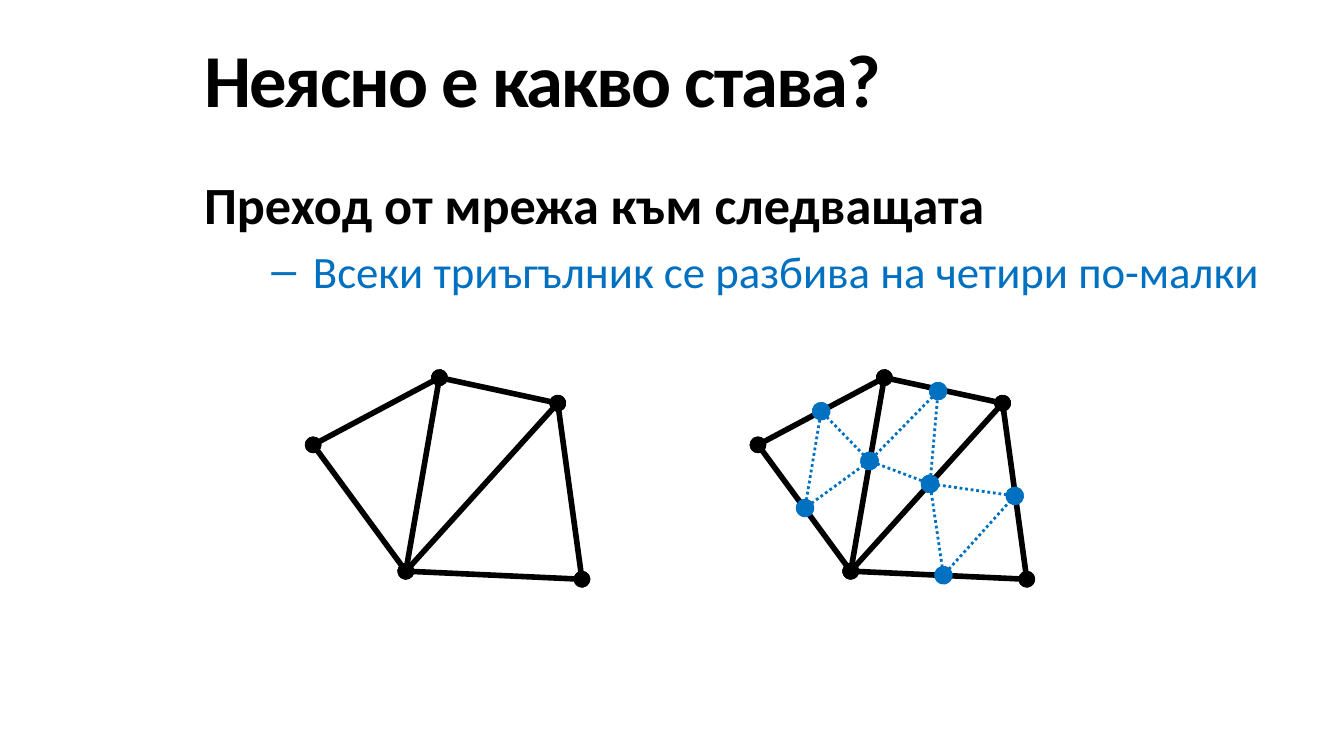
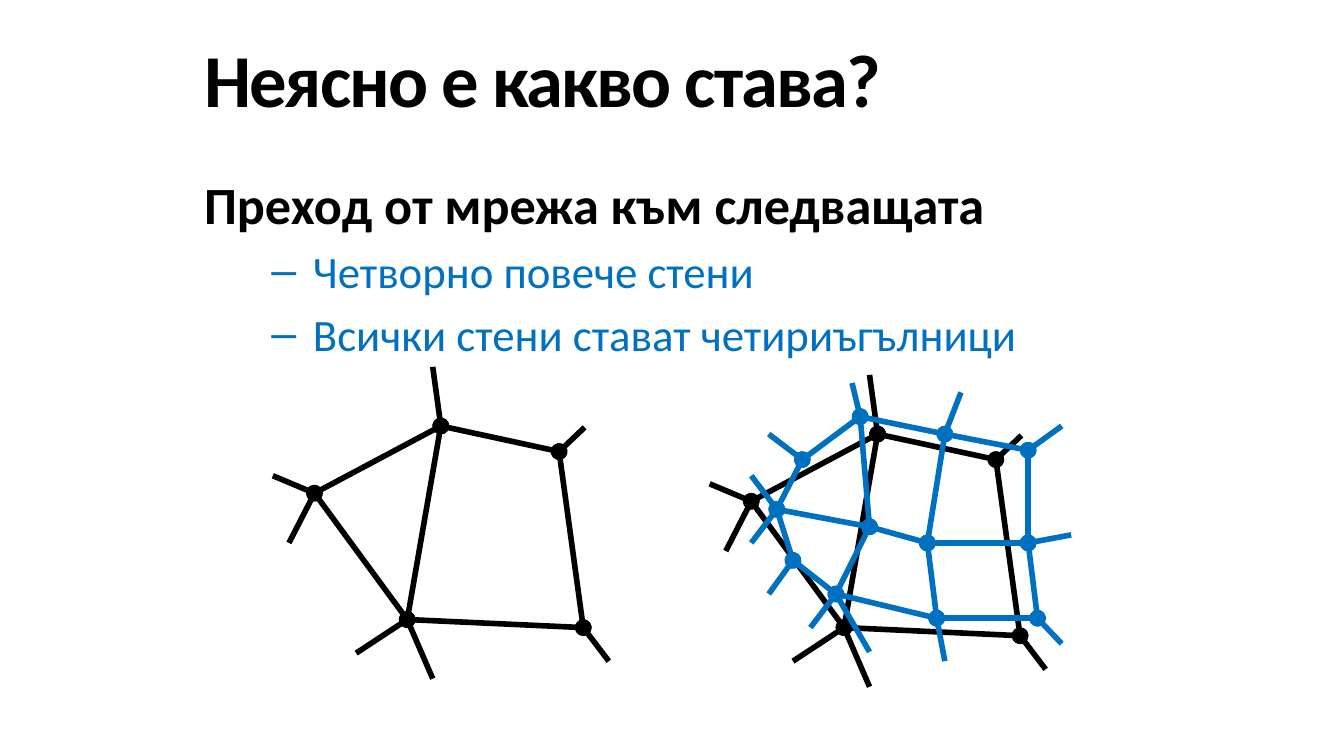
"""Two slides on how a mesh is refined into the next one."""
from lxml import etree
from pptx import Presentation
from pptx.dml.color import RGBColor
from pptx.enum.dml import MSO_LINE_DASH_STYLE as Dash
from pptx.enum.shapes import MSO_CONNECTOR as Connector
from pptx.enum.text import MSO_ANCHOR as Anchor
from pptx.oxml.ns import qn
from pptx.util import Inches, Pt

BLACK = RGBColor(0x00, 0x00, 0x00)
BLUE = RGBColor(0x00, 0x70, 0xC0)
FONT = "Calibri"
TITLE = "Неясно е какво става?"
HEADING = "Преход от мрежа към следващата"

CORNERS = {
    "left": (2.33, 3.31), "top": (3.27, 2.81), "right": (4.15, 3),
    "low": (3.02, 4.25), "far": (4.33, 4.31),
}
OUTLINE = ["right top", "top low", "far low", "right far", "top left", "left low"]
DIAGONAL = ["right low"]
CORNER_RAYS = [
    ("top", -0.06, -0.44), ("right", 0.19, -0.18), ("far", 0.19, 0.25),
    ("left", -0.31, -0.13), ("left", -0.19, 0.37),
    ("low", -0.38, 0.25), ("low", 0.19, 0.44),
]

MIDPOINTS = {
    "left_top": (6.11, 3.06), "left_low": (5.99, 3.78), "top_low": (6.47, 3.43),
    "top_right": (6.98, 2.91), "right_low": (6.92, 3.6),
    "right_far": (7.55, 3.69), "far_low": (7.02, 4.28),
}
SPLITS = [
    "top_low right_low", "right_low top_right", "right_far right_low",
    "top_right top_low", "far_low right_far", "far_low right_low",
    "left_top top_low", "left_low top_low", "left_low left_top",
]

QUADS = {
    "a1": (6.4, 3.1), "a2": (7.03, 3.23), "a3": (7.65, 3.35),
    "b1": (6.47, 3.92), "b2": (6.9, 4.04), "b3": (7.65, 4.04),
    "c1": (6.22, 4.42), "c2": (6.97, 4.6), "c3": (7.72, 4.6),
    "upper": (5.97, 3.42), "middle": (5.78, 3.79), "lower": (5.9, 4.17),
}
QUAD_EDGES = [
    "b1 b2", "a3 b3", "b2 a2", "a2 a1", "a1 b1", "a3 a2", "b3 b2", "c2 b2",
    "c3 b3", "c1 b1", "upper a1", "middle b1", "lower c1", "c3 c2", "c2 c1",
    "upper middle", "middle lower",
]
QUAD_RAYS = [
    ("a3", 0.25, -0.18), ("b3", 0.32, -0.06), ("c3", 0.18, 0.19),
    ("c2", 0.06, 0.32), ("c1", 0.25, 0.43), ("c1", -0.19, 0.25),
    ("lower", -0.18, 0.25), ("middle", -0.19, 0.25), ("middle", -0.19, -0.25),
    ("upper", -0.25, -0.19), ("a1", -0.06, -0.25), ("a2", 0.12, -0.31),
]


def add_run(paragraph, text, size, color, bold):
    run = paragraph.add_run()
    run.text = text
    run.font.name = FONT
    run.font.size = Pt(size)
    run.font.bold = bold
    run.font.color.rgb = color
    return run


def draw_mesh(slide, points, edges, rays=(), shift=(0, 0), color=BLACK,
              width=3, dash=None, node="med"):
    dx, dy = shift
    segments = [(*points[a], *points[b], True) for a, b in map(str.split, edges)]
    for name, across, down in rays:
        x, y = points[name]
        segments.append((x + across, y + down, x, y, False))
    for x1, y1, x2, y2, joins_nodes in segments:
        edge = slide.shapes.add_connector(
            Connector.STRAIGHT,
            Inches(x1 + dx), Inches(y1 + dy), Inches(x2 + dx), Inches(y2 + dy))
        edge.line.color.rgb = color
        edge.line.width = Pt(width)
        if dash:
            edge.line.dash_style = dash
        properties = edge.line._get_or_add_ln()
        if joins_nodes:
            for end in ("a:headEnd", "a:tailEnd"):
                etree.SubElement(properties, qn(end), type="oval", w=node, len=node)
        etree.SubElement(properties.getparent(), qn("a:effectLst"))


deck = Presentation()
deck.slide_width = Inches(10)
deck.slide_height = deck.slide_width * 9 // 16

slides = []
for points in (
    ["Всеки триъгълник се разбива на четири по-малки"],
    ["Четворно повече стени", "Всички стени стават четириъгълници"],
):
    slide = deck.slides.add_slide(deck.slide_layouts[6])
    slides.append(slide)

    title = slide.shapes.add_textbox(
        Inches(1.42), Inches(0.15), Inches(8.58), Inches(0.85)).text_frame
    title.word_wrap = True
    title.vertical_anchor = Anchor.MIDDLE
    heading = add_run(title.paragraphs[0], TITLE, 40, BLACK, True)
    heading.font._element.set("spc", "-100")

    body = slide.shapes.add_textbox(
        Inches(1.42), Inches(1.23), Inches(8.58), Inches(4.08)).text_frame
    body.word_wrap = True
    body.paragraphs[0].space_before = Pt(5.6)
    add_run(body.paragraphs[0], HEADING, 28, BLACK, True)
    for point in points:
        item = body.add_paragraph()
        item.level = 1
        item.space_before = Pt(4.8)
        add_run(item, point, 24, BLUE, False)
        layout = item._p.get_or_add_pPr()
        layout.set("marL", str(Inches(0.81)))
        layout.set("indent", str(Inches(-0.31)))
        etree.SubElement(layout, qn("a:buFont"), typeface="Arial")
        etree.SubElement(layout, qn("a:buChar"), char="–")

triangles, quads = slides
for shift in ((0, 0), (3.31, 0)):
    draw_mesh(triangles, CORNERS, OUTLINE + DIAGONAL, shift=shift)
draw_mesh(triangles, MIDPOINTS, SPLITS, color=BLUE, width=1.5,
          dash=Dash.ROUND_DOT, node="lg")

for shift in ((0.01, 0.36), (3.26, 0.42)):
    draw_mesh(quads, CORNERS, OUTLINE, CORNER_RAYS, shift)
draw_mesh(quads, QUADS, QUAD_EDGES, QUAD_RAYS, color=BLUE)

deck.save("out.pptx")
